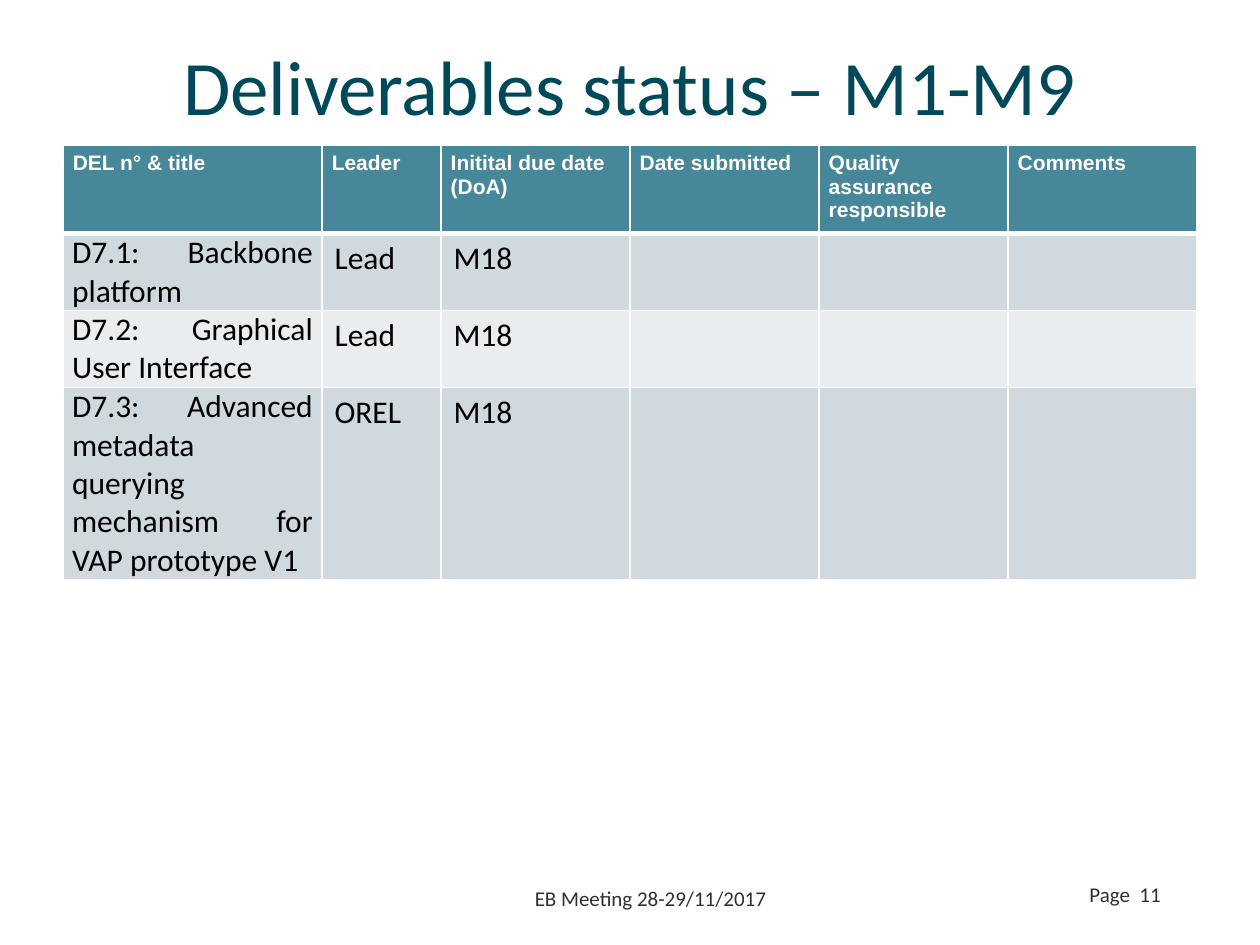
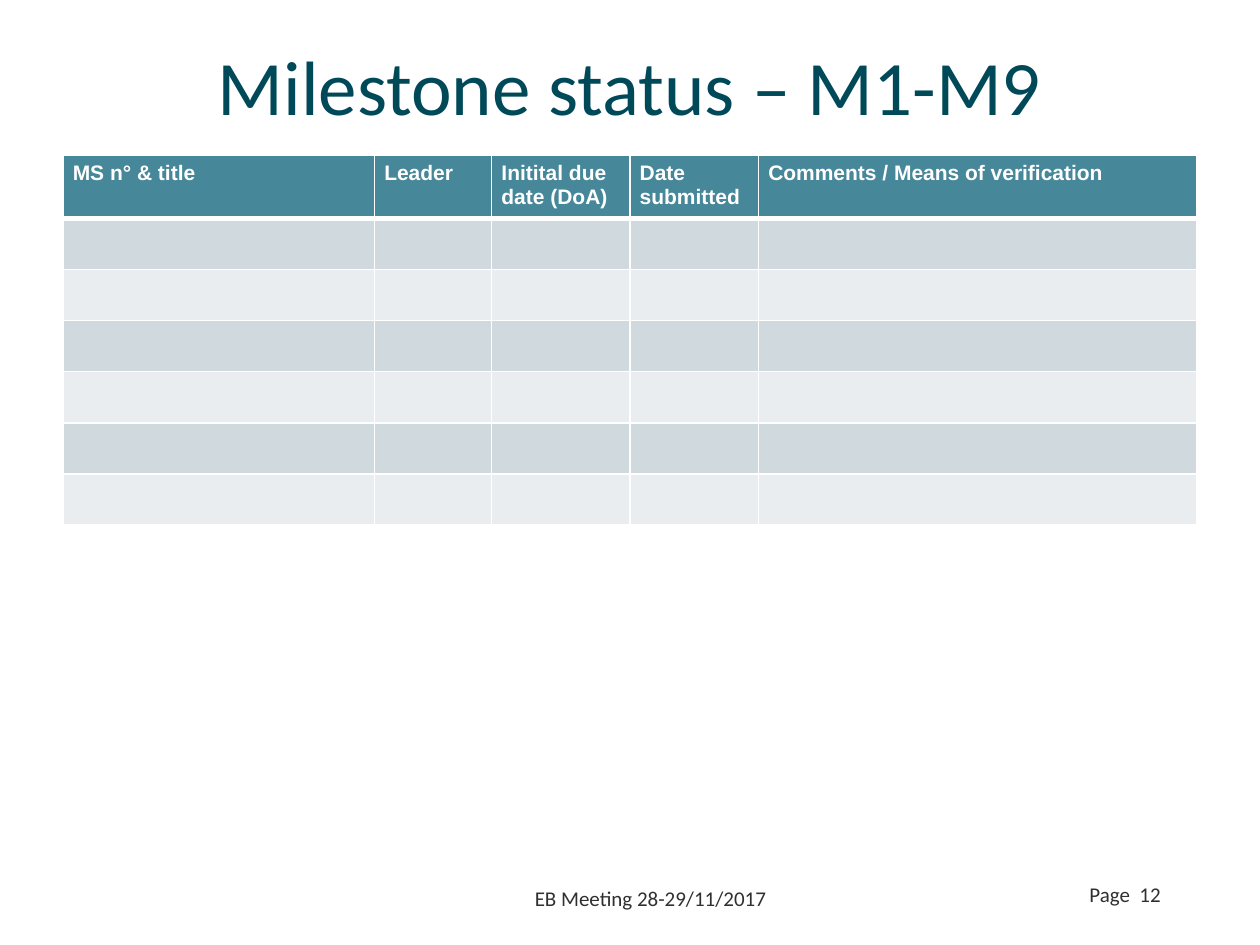
from dataclasses import dataclass

from lxml.etree import SubElement
from pptx import Presentation
from pptx.dml.color import RGBColor
from pptx.enum.text import MSO_ANCHOR as Anchor, PP_ALIGN as Align
from pptx.oxml.ns import qn
from pptx.slide import Slide
from pptx.table import _Cell as Cell
from pptx.text.text import _Paragraph as Paragraph
from pptx.util import Pt


@dataclass(frozen=True)
class TextStyle:
    """Typeface, size and colour of a run."""
    font: str
    size: float
    color: str
    bold: bool = False


@dataclass(frozen=True)
class Theme:
    """Colours and type styles shared by the deck."""
    title: TextStyle = TextStyle("Calibri", 44, "004959")
    header: TextStyle = TextStyle("Arial", 12, "FFFFFF", True)
    body: TextStyle = TextStyle("Calibri", 18, "000000")
    footer: TextStyle = TextStyle("Calibri", 12, "303030")
    header_fill: str = "47879A"
    band_fills: tuple[str, str] = ("CFD9DE", "E9EDEF")
    border: str = "FFFFFF"
    thin: float = 1
    thick: float = 3


@dataclass(frozen=True)
class Box:
    """Position and size in points."""
    left: float
    top: float
    width: float
    height: float


@dataclass(frozen=True)
class StatusPage:
    """One status slide: a title above a table."""
    title: str
    number: int
    table_top: float
    widths: tuple[float, ...]
    heights: tuple[float, ...]
    header: tuple[str, ...]
    rows: tuple[tuple[str, ...], ...]


THEME = Theme()
MARGIN = 36
TITLE_BOX = Box(MARGIN, 3.6, 648, 90)
MEETING_BOX = Box(292.4, 499, 152.6, 28.8)
NUMBER_BOX = Box(604, 496.8, 77.8, 28.8)
MEETING = "EB Meeting 28-29/11/2017"

PAGES = (
    StatusPage(
        "Deliverables status – M1-M9", 11, 83,
        (148, 68, 108, 108, 108, 108), (46.8, 44, 44, 110),
        ("DEL n° & title", "Leader", "Initital due date (DoA)", "Date submitted",
         "Quality assurance responsible", "Comments"),
        (("D7.1: Backbone platform", "Lead", "M18"),
         ("D7.2: Graphical User Interface", "Lead", "M18"),
         ("D7.3: Advanced metadata querying mechanism for VAP prototype V1",
          "OREL", "M18")),
    ),
    StatusPage(
        "Milestone status – M1-M9", 12, 88.8,
        (178, 67, 79, 73.5, 250.5), (33.6,) + (29.2,) * 6,
        ("MS n° & title", "Leader", "Initital due date (DoA)", "Date submitted",
         "Comments / Means of verification"),
        ((),) * 6,
    ),
)


def add_run(para: Paragraph, text: str, style: TextStyle) -> None:
    """Append a styled run to a paragraph."""
    span = para.add_run()
    span.text = text
    span.font.name = style.font
    span.font.size = Pt(style.size)
    span.font.bold = style.bold
    span.font.color.rgb = RGBColor.from_string(style.color)


def add_text(page: Slide, box: Box, text: str, style: TextStyle, align: Align) -> None:
    """Place one vertically centred line of text."""
    shape = page.shapes.add_textbox(Pt(box.left), Pt(box.top), Pt(box.width), Pt(box.height))
    frame = shape.text_frame
    frame.word_wrap = True
    frame.vertical_anchor = Anchor.MIDDLE
    para = frame.paragraphs[0]
    para.alignment = align
    add_run(para, text, style)


def set_borders(cell: Cell, top: float, bottom: float) -> None:
    """Draw the four cell edges, thin at the sides."""
    properties = cell._tc.get_or_add_tcPr()
    edges = {"L": THEME.thin, "R": THEME.thin, "T": top, "B": bottom}
    for side, width in edges.items():
        line = SubElement(properties, qn(f"a:ln{side}"), w=str(Pt(width)))
        fill = SubElement(line, qn("a:solidFill"))
        SubElement(fill, qn("a:srgbClr"), val=THEME.border)


def set_insets(cell: Cell, side: float, vertical: float) -> None:
    """Set the cell margins in points."""
    cell.margin_left = cell.margin_right = Pt(side)
    cell.margin_top = cell.margin_bottom = Pt(vertical)


def fill_cell(cell: Cell, color: str) -> None:
    """Give a cell a solid fill."""
    cell.fill.solid()
    cell.fill.fore_color.rgb = RGBColor.from_string(color)


def format_header(cell: Cell, text: str) -> None:
    """Write one heading cell with a thick lower edge."""
    set_insets(cell, 5.6, 3.6)
    set_borders(cell, THEME.thin, THEME.thick)
    fill_cell(cell, THEME.header_fill)
    add_run(cell.text_frame.paragraphs[0], text, THEME.header)


def format_body(cell: Cell, text: str, row: int, is_title: bool) -> None:
    """Write one banded cell; titles are justified and centred vertically."""
    set_borders(cell, THEME.thick if row == 0 else THEME.thin, THEME.thin)
    fill_cell(cell, THEME.band_fills[row % 2])
    if not text:
        return
    para = cell.text_frame.paragraphs[0]
    if is_title:
        set_insets(cell, 5.2, 0)
        cell.vertical_anchor = Anchor.MIDDLE
        para.alignment = Align.JUSTIFY
        para.space_before = para.space_after = Pt(1)
    add_run(para, text, THEME.body)


def add_status_table(page: Slide, content: StatusPage) -> None:
    """Build the status table of a page."""
    frame = page.shapes.add_table(
        len(content.heights), len(content.widths), Pt(MARGIN), Pt(content.table_top),
        Pt(sum(content.widths)), Pt(sum(content.heights)))
    table = frame.table
    table.first_row = table.horz_banding = False
    for column, width in zip(table.columns, content.widths):
        column.width = Pt(width)
    for row, height in zip(table.rows, content.heights):
        row.height = Pt(height)
    for index, heading in enumerate(content.header):
        format_header(table.cell(0, index), heading)
    for row_index, values in enumerate(content.rows):
        for index in range(len(content.widths)):
            text = values[index] if index < len(values) else ""
            format_body(table.cell(row_index + 1, index), text, row_index, index == 0)


def build_deck() -> None:
    """Create and save the deck."""
    deck = Presentation()
    deck.slide_width, deck.slide_height = Pt(720), Pt(540)
    blank = deck.slide_layouts[6]
    for content in PAGES:
        page = deck.slides.add_slide(blank)
        add_text(page, TITLE_BOX, content.title, THEME.title, Align.CENTER)
        add_status_table(page, content)
        add_text(page, MEETING_BOX, MEETING, THEME.footer, Align.RIGHT)
        add_text(page, NUMBER_BOX, f"Page  {content.number}", THEME.footer, Align.CENTER)
    deck.save("out.pptx")


build_deck()
